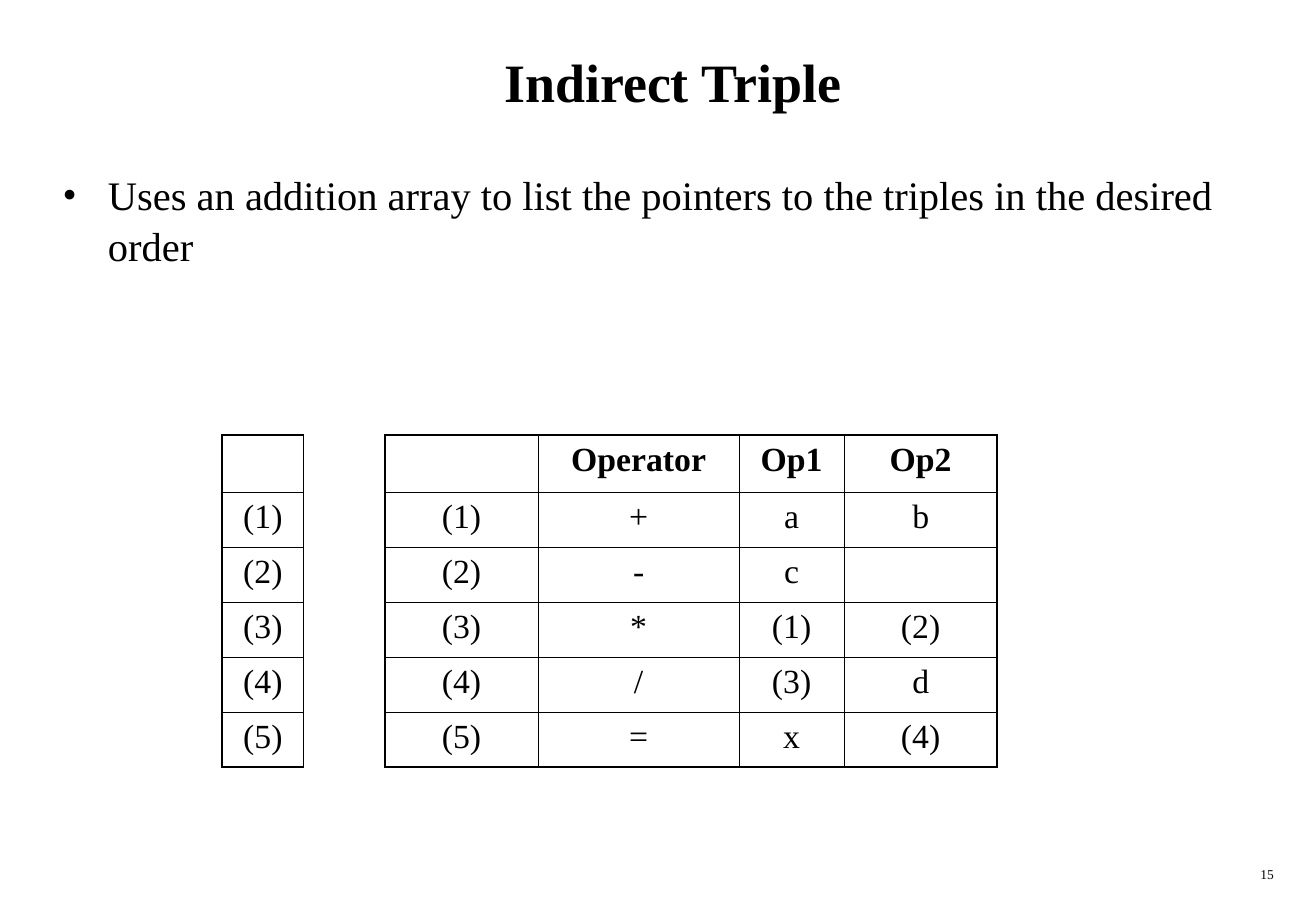
from lxml.etree import SubElement
from pptx import Presentation
from pptx.dml.color import RGBColor
from pptx.enum.text import MSO_ANCHOR as Anchor, PP_ALIGN as Align
from pptx.oxml.ns import qn
from pptx.util import Cm, Pt

COLORS = {"ink": "000000", "paper": "FFFFFF"}
FONT = "Times New Roman"
THICK, THIN = 1.08, 0.45
HEADER_HEIGHT, ROW_HEIGHT = 1.2, 1.15
TABLE_TOP = 9.1
LABELS = [f"({number})" for number in range(1, 6)]
TRIPLES = [
    ("+", "a", "b"),
    ("-", "c", ""),
    ("*", "(1)", "(2)"),
    ("/", "(3)", "d"),
    ("=", "x", "(4)"),
]


def add_span(para, text, size, bold=False):
    span = para.add_run()
    span.text = text
    span.font.name = FONT
    span.font.size = Pt(size)
    span.font.bold = bold
    span.font.color.rgb = RGBColor.from_string(COLORS["ink"])


def add_text(page, area, text, size, align, bold=False, anchor=Anchor.TOP):
    box = page.shapes.add_textbox(*map(Cm, area))
    box.text_frame.word_wrap = True
    box.text_frame.vertical_anchor = anchor
    para = box.text_frame.paragraphs[0]
    para.alignment = align
    add_span(para, text, size, bold)
    return para


def set_bullet(para, indent):
    props = para._p.get_or_add_pPr()
    props.set("marL", str(Cm(indent)))
    props.set("indent", str(-Cm(indent)))
    color = SubElement(props, qn("a:buClr"))
    SubElement(color, qn("a:srgbClr"), val=COLORS["ink"])
    SubElement(props, qn("a:buFont"), typeface=FONT)
    SubElement(props, qn("a:buChar"), char="•")


def set_borders(cell, outer_sides):
    props = cell._tc.get_or_add_tcPr()
    for side, is_outer in outer_sides.items():
        width = Pt(THICK if is_outer else THIN)
        line = SubElement(props, qn(f"a:ln{side}"), w=str(width))
        fill = SubElement(line, qn("a:solidFill"))
        SubElement(fill, qn("a:srgbClr"), val=COLORS["ink"])


def add_grid(page, left, widths, rows):
    height = HEADER_HEIGHT + ROW_HEIGHT * (len(rows) - 1)
    frame = page.shapes.add_table(
        len(rows), len(widths), Cm(left), Cm(TABLE_TOP), Cm(sum(widths)), Cm(height)
    )
    table = frame.table
    table.first_row = table.horz_banding = False
    for column, width in zip(table.columns, widths):
        column.width = Cm(width)
    for r, values in enumerate(rows):
        table.rows[r].height = Cm(ROW_HEIGHT if r else HEADER_HEIGHT)
        for c, value in enumerate(values):
            cell = table.cell(r, c)
            set_borders(cell, {
                "L": c == 0,
                "R": c == len(widths) - 1,
                "T": r == 0,
                "B": r == len(rows) - 1,
            })
            cell.fill.background()
            if value:
                para = cell.text_frame.paragraphs[0]
                para.alignment = Align.CENTER
                add_span(para, value, 20, bold=r == 0)


def main():
    deck = Presentation()
    deck.slide_width, deck.slide_height = Cm(27.53), Cm(19.05)
    page = deck.slides.add_slide(deck.slide_layouts[6])
    page.background.fill.solid()
    page.background.fill.fore_color.rgb = RGBColor.from_string(COLORS["paper"])

    add_text(page, (1.06, 0.43, 26.04, 2.54), "Indirect Triple", 32,
             Align.CENTER, bold=True, anchor=Anchor.MIDDLE)
    point = add_text(
        page, (1.06, 3.39, 24.97, 2.96),
        "Uses an addition array to list the pointers to the triples in the desired order",
        24, Align.LEFT)
    point.line_spacing = 1.05
    set_bullet(point, 0.95)

    triple_rows = [(label, *triple) for label, triple in zip(LABELS, TRIPLES)]
    add_grid(page, 8.05, [3.21, 4.2, 2.2, 3.2],
             [("", "Operator", "Op1", "Op2"), *triple_rows])
    add_grid(page, 4.65, [1.7], [("",), *((label,) for label in LABELS)])

    add_text(page, (21.17, 17.99, 5.73, 0.64), "15", 8, Align.RIGHT)
    deck.save("out.pptx")


if __name__ == "__main__":
    main()
